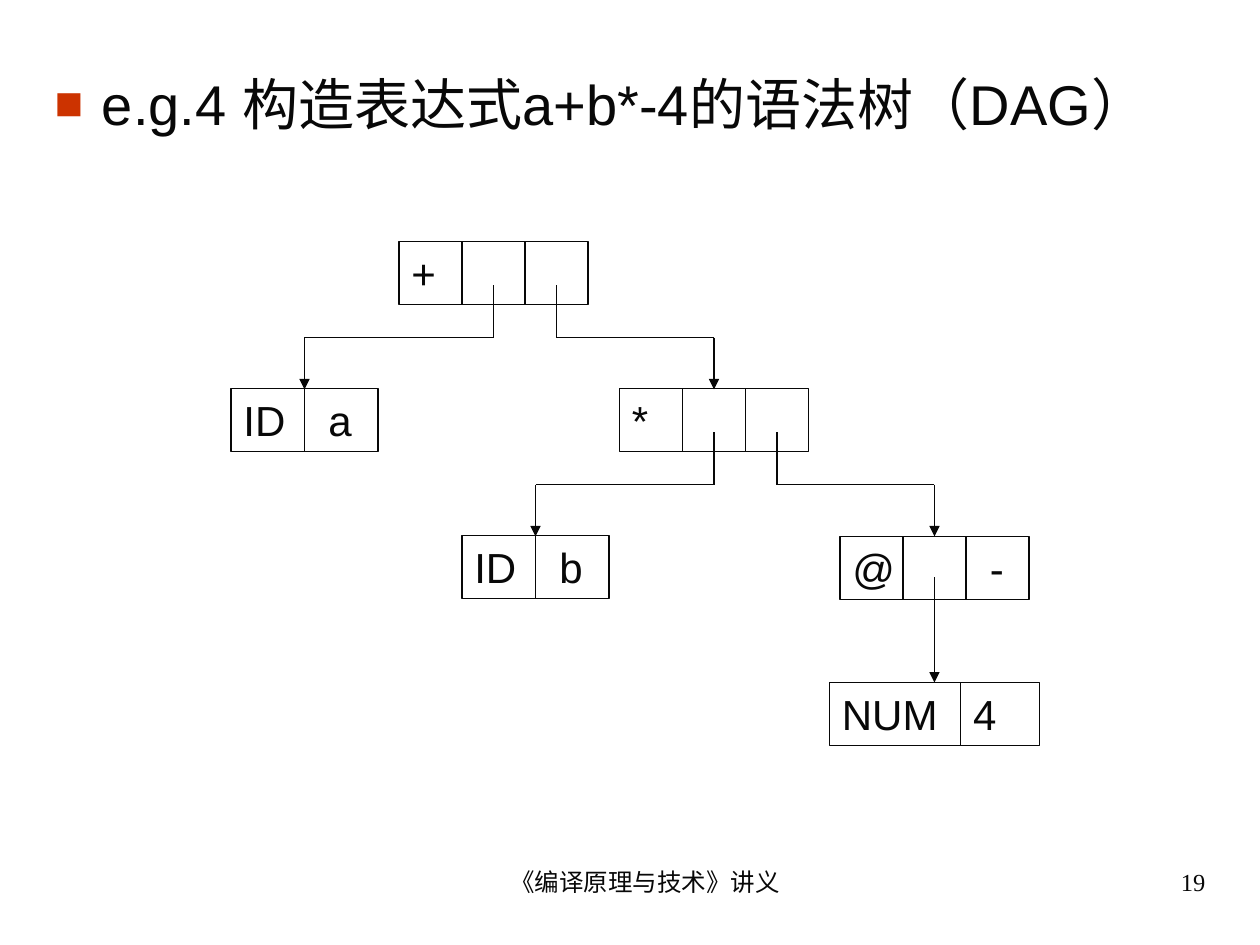
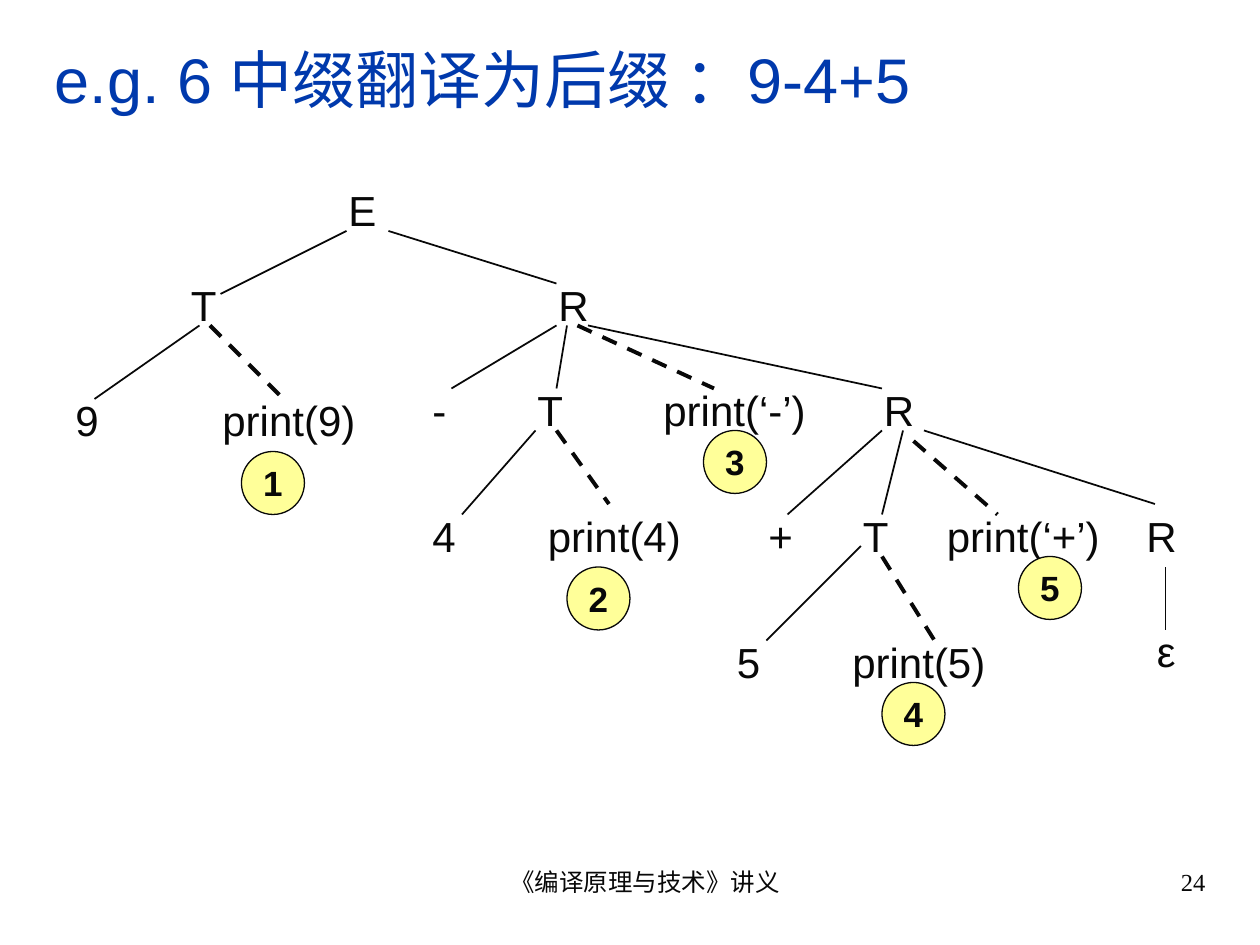
from dataclasses import dataclass
from itertools import accumulate, pairwise

from pptx import Presentation
from pptx.dml.color import RGBColor
from pptx.enum.dml import MSO_LINE
from pptx.enum.shapes import MSO_CONNECTOR, MSO_SHAPE
from pptx.enum.text import MSO_ANCHOR, MSO_AUTO_SIZE, PP_ALIGN
from pptx.oxml.ns import qn
from pptx.util import Pt
from lxml import etree

DASH = MSO_LINE.DASH
STRAIGHT = MSO_CONNECTOR.STRAIGHT
RECT, OVAL = MSO_SHAPE.RECTANGLE, MSO_SHAPE.OVAL
TOP, MIDDLE = MSO_ANCHOR.TOP, MSO_ANCHOR.MIDDLE
FIXED = MSO_AUTO_SIZE.NONE
LEFT, CENTER, RIGHT = PP_ALIGN.LEFT, PP_ALIGN.CENTER, PP_ALIGN.RIGHT

INK, BLUE, RED, YELLOW = "080808", "0039AC", "CC3300", "FFFF99"
SANS, SERIF = "Arial", "Times New Roman"
SIDE = 36  # height of a node, width of a pointer cell, badge size

LABEL = dict(size=Pt(24), name=SANS, bold=False)
BADGE = dict(size=Pt(20), name=SANS, bold=True)
HEAD = dict(size=Pt(36), name=SANS, bold=False)
POINT = dict(size=Pt(32), name=SANS, bold=False)
FOOT = dict(size=Pt(14), name=SERIF, bold=False)
FRAME = dict(margin_left=Pt(7.2), margin_right=Pt(7.2), margin_top=Pt(3.6),
             margin_bottom=Pt(3.6), auto_size=FIXED, word_wrap=True,
             vertical_anchor=TOP)


@dataclass
class Node:
    x: float
    y: float
    cells: dict[str, float] | list[tuple[str, float]]


@dataclass
class Label:
    text: str
    x: float
    y: float
    w: float = 48


@dataclass
class Edge:
    x1: float
    y1: float
    x2: float
    y2: float
    action: bool = False


# Shared helpers
def rgb(code: str) -> RGBColor:
    return RGBColor.from_string(code)


def apply(target, values: dict) -> None:
    for key, value in values.items():
        setattr(target, key, value)


def write(shape, text: str, font: dict, color: str = INK, align=LEFT, **frame):
    body = shape.text_frame
    apply(body, FRAME | frame)
    para = body.paragraphs[0]
    para.alignment = align
    run = para.add_run()
    run.text = text
    apply(run.font, font)
    run.font.color.rgb = rgb(color)
    return para


def place(shape, x: float, y: float, w: float, h: float) -> None:
    apply(shape, dict(left=Pt(x), top=Pt(y), width=Pt(w), height=Pt(h)))


def box(shapes, kind, x: float, y: float, w: float, fill: str = ""):
    shape = shapes.add_shape(kind, Pt(x), Pt(y), Pt(w), Pt(SIDE))
    shape.shadow.inherit = False
    if fill:
        shape.fill.solid()
        shape.fill.fore_color.rgb = rgb(fill)
    else:
        shape.fill.background()
    shape.line.color.rgb = rgb(INK)
    shape.line.width = Pt(0.75)
    return shape


def note(slide, x: float, y: float, w: float, h: float, text: str,
         font: dict, **style) -> None:
    shape = slide.shapes.add_textbox(Pt(x), Pt(y), Pt(w), Pt(h))
    write(shape, text, font, **style)


def line(slide, start: tuple, end: tuple, width: float,
         dash: bool = False, arrow: bool = False) -> None:
    link = slide.shapes.add_connector(STRAIGHT, *map(Pt, start + end))
    link.line.color.rgb = rgb(INK)
    link.line.width = Pt(width)
    if dash:
        link.line.dash_style = DASH
    props = link.element.spPr
    if arrow:
        etree.SubElement(props.find(qn("a:ln")), qn("a:tailEnd"), type="triangle")
    etree.SubElement(props, qn("a:effectLst"))


def footer(slide, number: int) -> None:
    style = dict(margin_left=Pt(24.5))
    note(slide, 246, 492, 228, 37.5, "《编译原理与技术》讲义", FOOT,
         align=CENTER, **style)
    note(slide, 516, 492, 180, 37.5, str(number), FOOT, align=RIGHT, **style)


# Slide with the record diagram
def bullet(para) -> None:
    para.space_before = Pt(8)
    props = para._p.get_or_add_pPr()
    props.set("marL", str(Pt(27)))
    props.set("indent", str(Pt(-27)))
    tint = etree.SubElement(props, qn("a:buClr"))
    etree.SubElement(tint, qn("a:srgbClr"), val=RED)
    etree.SubElement(props, qn("a:buSzPct"), val="85000")
    etree.SubElement(props, qn("a:buFont"), typeface=SANS)
    etree.SubElement(props, qn("a:buChar"), char="■")


def record(slide, node: Node) -> None:
    group = slide.shapes.add_group_shape()
    widths = [w for _, w in node.cells]
    for x, (text, w) in zip(accumulate(widths, initial=node.x), node.cells):
        cell = box(group.shapes, RECT, x, node.y, w)
        if text:
            write(cell, text, LABEL)


def route(slide, *points: tuple) -> None:
    legs = list(pairwise(points))
    for i, (start, end) in enumerate(legs, 1):
        line(slide, start, end, 0.75, arrow=i == len(legs))


def triple(*texts: str) -> list[tuple[str, float]]:
    return [(text, SIDE) for text in texts]


def leaf(name: str) -> list[tuple[str, float]]:
    return [("ID", 42), (" " + name, 42)]


def dag(deck) -> None:
    slide = deck.slides.add_slide(deck.slide_layouts[1])
    title = slide.shapes.title.element
    title.getparent().remove(title)
    body = slide.placeholders[1]
    place(body, 24, 36, 672, 444)
    bullet(write(body, "e.g.4 构造表达式a+b*-4的语法树（DAG）", POINT))

    rows = [138 + 84 * i for i in range(4)]
    nodes = [
        Node(228, rows[0], triple("+", "", "")),
        Node(132, rows[1], leaf("a")),
        Node(354, rows[1], triple("*", "", "")),
        Node(264, rows[2], leaf("b")),
        Node(480, rows[2] + 0.7, triple("@", "", " -")),
        Node(474, rows[3], [("NUM", 75), ("4", 45)]),
    ]
    for node in nodes:
        record(slide, node)

    # Pointers run from a cell down, across, and down to the child
    for row, x1, x2 in [(0, 282, 174), (0, 318, 408), (1, 408, 306), (1, 444, 534)]:
        y = rows[row]
        route(slide, (x1, y + 25), (x1, y + 55), (x2, y + 55), (x2, y + 84.5))
    route(slide, (534, 330), (534, rows[3]))
    footer(slide, 19)


# Slide with the parse tree
LABELS = [
    Label("E", 192, 102, 78), Label("T", 102, 156, 78), Label("R", 312, 156, 78),
    Label("9", 36, 222, 78), Label("print(9)", 120, 222, 120),
    Label("-", 240, 216), Label("T", 300, 216),
    Label("print(‘-’)", 372, 216, 120), Label("R", 498, 216),
    Label("4", 240, 288), Label("print(4)", 306, 288, 102),
    Label("+", 432, 288), Label("T", 486, 288),
    Label("print(‘+’)", 534, 288, 120), Label("R", 648, 288),
    Label("5", 414, 360), Label("print(5)", 480, 360, 102),
    Label("ε", 654, 354),
]
EDGES = [
    Edge(198, 132, 126, 168), Edge(222, 132, 318, 162),
    Edge(114, 186, 54, 228), Edge(120, 186, 162, 228, True),
    Edge(318, 186, 258, 222), Edge(324, 186, 318, 222),
    Edge(330, 186, 408, 222, True), Edge(336, 186, 504, 222),
    Edge(306, 246, 264, 294), Edge(318, 246, 348, 288, True),
    Edge(504, 246, 450, 294), Edge(516, 246, 504, 294),
    Edge(522, 252, 570, 294, True), Edge(528, 246, 660, 288),
    Edge(492, 312, 438, 366), Edge(504, 318, 534, 366, True),
    Edge(666, 324, 666, 360),
]
BADGES = [(138, 258), (324, 324), (402, 246), (504, 390), (582, 318)]


def tree(deck) -> None:
    slide = deck.slides.add_slide(deck.slide_layouts[5])
    title = slide.shapes.title
    place(title, 24, 18, 672, 54)
    write(title, "e.g. 6 中缀翻译为后缀 ：9-4+5", HEAD, BLUE, vertical_anchor=MIDDLE)

    for item in LABELS:
        note(slide, item.x, item.y, item.w, SIDE, item.text, LABEL)
    for edge in EDGES:
        line(slide, (edge.x1, edge.y1), (edge.x2, edge.y2),
             2.25 if edge.action else 1, dash=edge.action)

    # Badges count the order of the print actions
    for i, (x, y) in enumerate(BADGES, 1):
        badge = box(slide.shapes, OVAL, x, y, SIDE, YELLOW)
        write(badge, str(i), BADGE, align=CENTER, word_wrap=False,
              vertical_anchor=MIDDLE)
    footer(slide, 24)


def main() -> None:
    deck = Presentation()
    apply(deck, dict(slide_width=Pt(720), slide_height=Pt(540)))
    dag(deck)
    tree(deck)
    deck.save("out.pptx")


if __name__ == "__main__":
    main()
